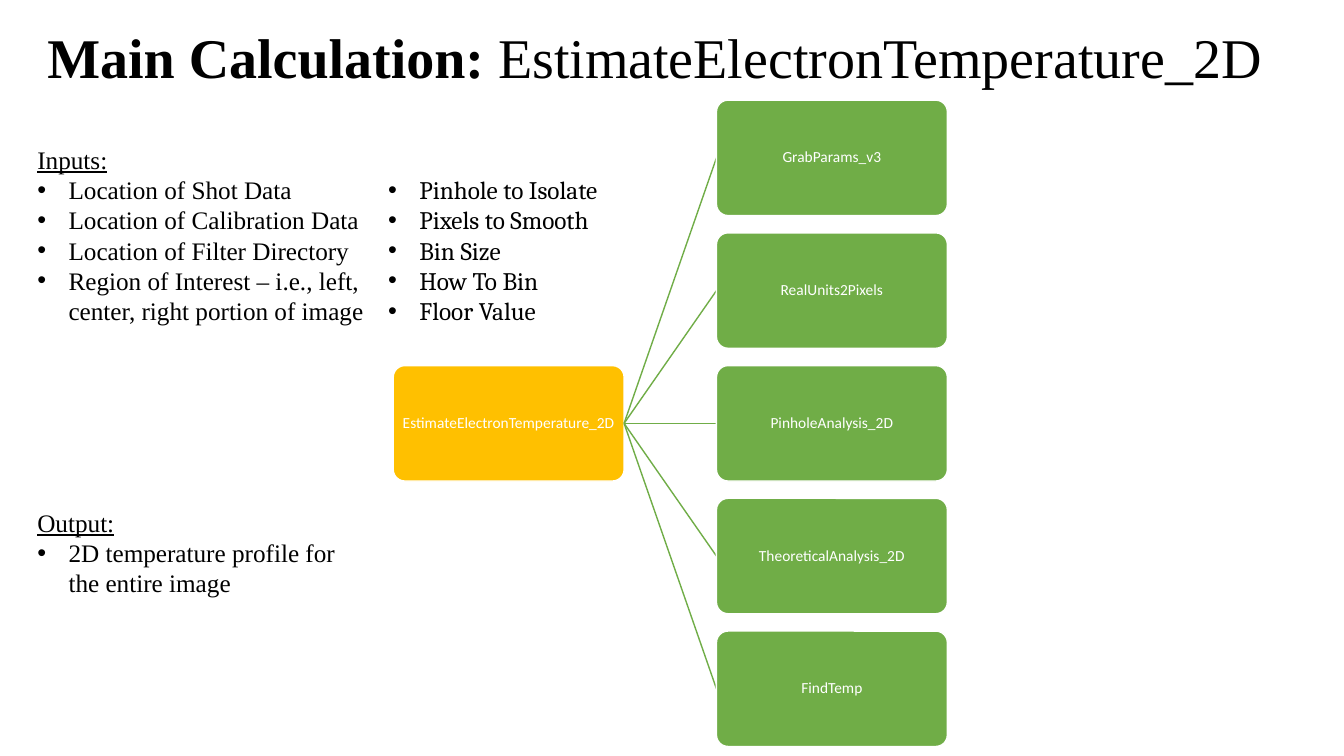
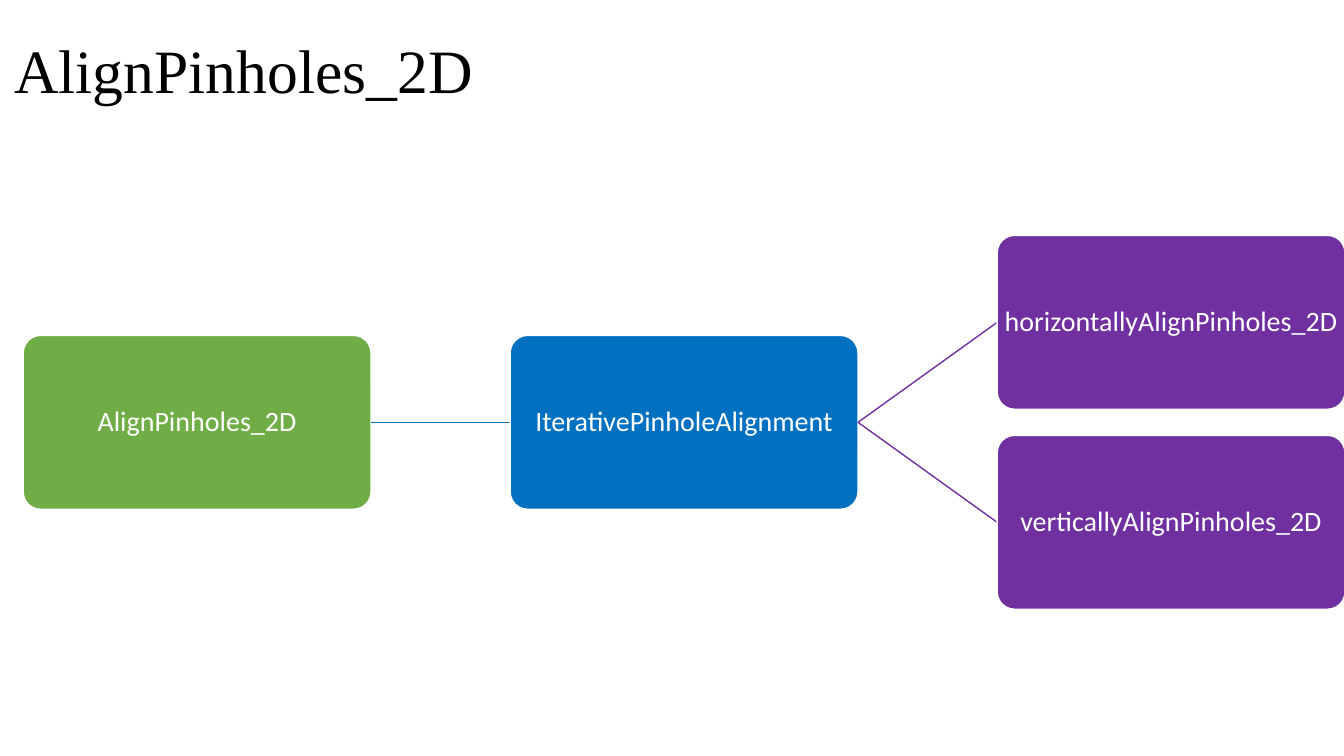
from dataclasses import dataclass

from lxml.etree import SubElement
from pptx import Presentation
from pptx.dml.color import RGBColor
from pptx.enum.shapes import MSO_CONNECTOR, MSO_SHAPE
from pptx.enum.text import MSO_ANCHOR, MSO_AUTO_SIZE, PP_ALIGN
from pptx.oxml.ns import qn
from pptx.shapes.autoshape import Shape
from pptx.slide import Slide
from pptx.text.text import Font
from pptx.util import Inches, Pt

BLACK, WHITE = "000000", "FFFFFF"
GREEN, GOLD, BLUE, PURPLE = "70AD47", "FFC000", "0070C0", "7030A0"
SERIF, CAMBRIA, SANS = "Times New Roman", "Cambria", "Calibri"

TITLE_ONLY_LAYOUT, COMPARISON_LAYOUT = 5, 4
BULLET_INDENT = Inches(0.31)


@dataclass
class Area:
    left: float
    top: float
    width: float
    height: float


@dataclass
class ListBlock:
    placeholder_index: int
    area: Area
    font_name: str
    items: list[str]
    heading: str = ""


@dataclass
class Level:
    """One column of a tree diagram."""
    color: str
    names: list[str]


@dataclass
class Tree:
    left: float
    middle: float
    box_width: float
    font_size: int
    levels: list[Level]


def rgb(color: str) -> RGBColor:
    return RGBColor.from_string(color)


def style_font(font: Font, name: str, size: float, color: str) -> None:
    font.name, font.size = name, Pt(size)
    font.color.rgb = rgb(color)


def place(shape: Shape, area: Area) -> None:
    shape.left, shape.top = Inches(area.left), Inches(area.top)
    shape.width, shape.height = Inches(area.width), Inches(area.height)


def set_title(slide: Slide, area: Area, size: float, text: str, bold_lead: str = "") -> None:
    title = slide.shapes.title
    place(title, area)
    frame = title.text_frame
    frame.vertical_anchor = MSO_ANCHOR.MIDDLE
    frame.auto_size = MSO_AUTO_SIZE.NONE
    paragraph = frame.paragraphs[0]
    paragraph.alignment = PP_ALIGN.LEFT
    paragraph.line_spacing = 0.9
    style_font(paragraph.font, SERIF, size, BLACK)
    if bold_lead:
        lead = paragraph.add_run()
        lead.text = bold_lead
        lead.font.bold = True
    paragraph.add_run().text = text


def set_bullet(paragraph, bulleted: bool) -> None:
    properties = paragraph._p.get_or_add_pPr()
    indent = BULLET_INDENT if bulleted else 0
    properties.set("marL", str(indent))
    properties.set("indent", str(-indent))
    if bulleted:
        SubElement(properties, qn("a:buFont"), typeface="Arial")
        SubElement(properties, qn("a:buChar"), char="•")
    else:
        SubElement(properties, qn("a:buNone"))


def fill_list(slide: Slide, block: ListBlock) -> None:
    body = slide.placeholders[block.placeholder_index]
    place(body, block.area)
    frame = body.text_frame
    frame.vertical_anchor = MSO_ANCHOR.TOP
    frame.auto_size = MSO_AUTO_SIZE.NONE
    headings = [block.heading] if block.heading else []
    lines = headings + block.items
    for index, text in enumerate(lines):
        paragraph = frame.paragraphs[0] if index == 0 else frame.add_paragraph()
        paragraph.text = text
        is_heading = index < len(headings)
        set_bullet(paragraph, not is_heading)
        paragraph.space_before = Pt(0)
        paragraph.line_spacing = Pt(21.6)
        style_font(paragraph.font, block.font_name, 18, BLACK)
        paragraph.font.bold = False
        paragraph.font.underline = is_heading


def add_box(slide: Slide, area: Area, color: str, text: str, size: float) -> None:
    box = slide.shapes.add_shape(MSO_SHAPE.ROUNDED_RECTANGLE, 0, 0, 0, 0)
    place(box, area)
    box.adjustments[0] = 0.1
    box.shadow.inherit = False
    box.fill.solid()
    box.fill.fore_color.rgb = rgb(color)
    box.line.color.rgb = rgb(WHITE)
    box.line.width = Pt(1)
    frame = box.text_frame
    frame.word_wrap = False
    frame.vertical_anchor = MSO_ANCHOR.MIDDLE
    frame.margin_left = frame.margin_right = Inches(0.01)
    frame.margin_top = frame.margin_bottom = Inches(0.01)
    paragraph = frame.paragraphs[0]
    paragraph.text = text
    paragraph.alignment = PP_ALIGN.CENTER
    paragraph.line_spacing = 0.9
    style_font(paragraph.font, SANS, size, WHITE)


def add_link(slide: Slide, start: tuple[float, float], end: tuple[float, float], color: str) -> None:
    points = [Inches(value) for value in (*start, *end)]
    link = slide.shapes.add_connector(MSO_CONNECTOR.STRAIGHT, *points)
    link.line.color.rgb = rgb(color)
    link.line.width = Pt(1)
    SubElement(link._element.spPr, qn("a:effectLst"))


def draw_tree(slide: Slide, tree: Tree) -> None:
    """Draw columns left to right; each column branches from the single box before it."""
    width, height = tree.box_width, tree.box_width / 2
    row_step, column_step = height * 1.15, width * 1.4
    for column, level in enumerate(tree.levels):
        left = tree.left + column * column_step
        for row, name in enumerate(level.names):
            center = tree.middle + (row - (len(level.names) - 1) / 2) * row_step
            if column:
                parent_right = left - column_step + width
                add_link(slide, (parent_right, tree.middle), (left, center), level.color)
            area = Area(left, center - height / 2, width, height)
            add_box(slide, area, level.color, name, tree.font_size)


INPUT_OUTPUT_LISTS = [
    ListBlock(1, Area(0.27, 1.38, 3.48, 1.92), SERIF, [
        "Location of Shot Data",
        "Location of Calibration Data",
        "Location of Filter Directory",
        "Region of Interest – i.e., left, center, right portion of image",
    ], "Inputs:"),
    ListBlock(2, Area(3.75, 1.68, 3.2, 1.92), CAMBRIA, [
        "Pinhole to Isolate", "Pixels to Smooth", "Bin Size", "How To Bin", "Floor Value",
    ]),
    ListBlock(3, Area(0.27, 4.98, 3.48, 1.01), SERIF,
              ["2D temperature profile for the entire image"], "Output:"),
]

CALCULATION_TREE = Tree(3.9, 4.2, 2.29, 11, [
    Level(GOLD, ["EstimateElectronTemperature_2D"]),
    Level(GREEN, ["GrabParams_v3", "RealUnits2Pixels", "PinholeAnalysis_2D",
                  "TheoreticalAnalysis_2D", "FindTemp"]),
])

ALIGNMENT_TREE = Tree(0.23, 4.19, 3.45, 20, [
    Level(GREEN, ["AlignPinholes_2D"]),
    Level(BLUE, ["IterativePinholeAlignment"]),
    Level(PURPLE, ["horizontallyAlignPinholes_2D", "verticallyAlignPinholes_2D"]),
])


def main() -> None:
    presentation = Presentation()
    presentation.slide_width, presentation.slide_height = Inches(13.33), Inches(7.5)
    layouts = presentation.slide_layouts

    # Main calculation: inputs, output and called functions
    slide = presentation.slides.add_slide(layouts[COMPARISON_LAYOUT])
    set_title(slide, Area(0.37, -0.13, 12.92, 1.45), 40,
              "EstimateElectronTemperature_2D", "Main Calculation: ")
    for block in INPUT_OUTPUT_LISTS:
        fill_list(slide, block)
    unused = slide.placeholders[4]._element
    unused.getparent().remove(unused)
    draw_tree(slide, CALCULATION_TREE)

    # Pinhole alignment
    slide = presentation.slides.add_slide(layouts[TITLE_ONLY_LAYOUT])
    set_title(slide, Area(0.04, 0, 13.29, 1.45), 44, "AlignPinholes_2D")
    draw_tree(slide, ALIGNMENT_TREE)

    presentation.save("out.pptx")


if __name__ == "__main__":
    main()
